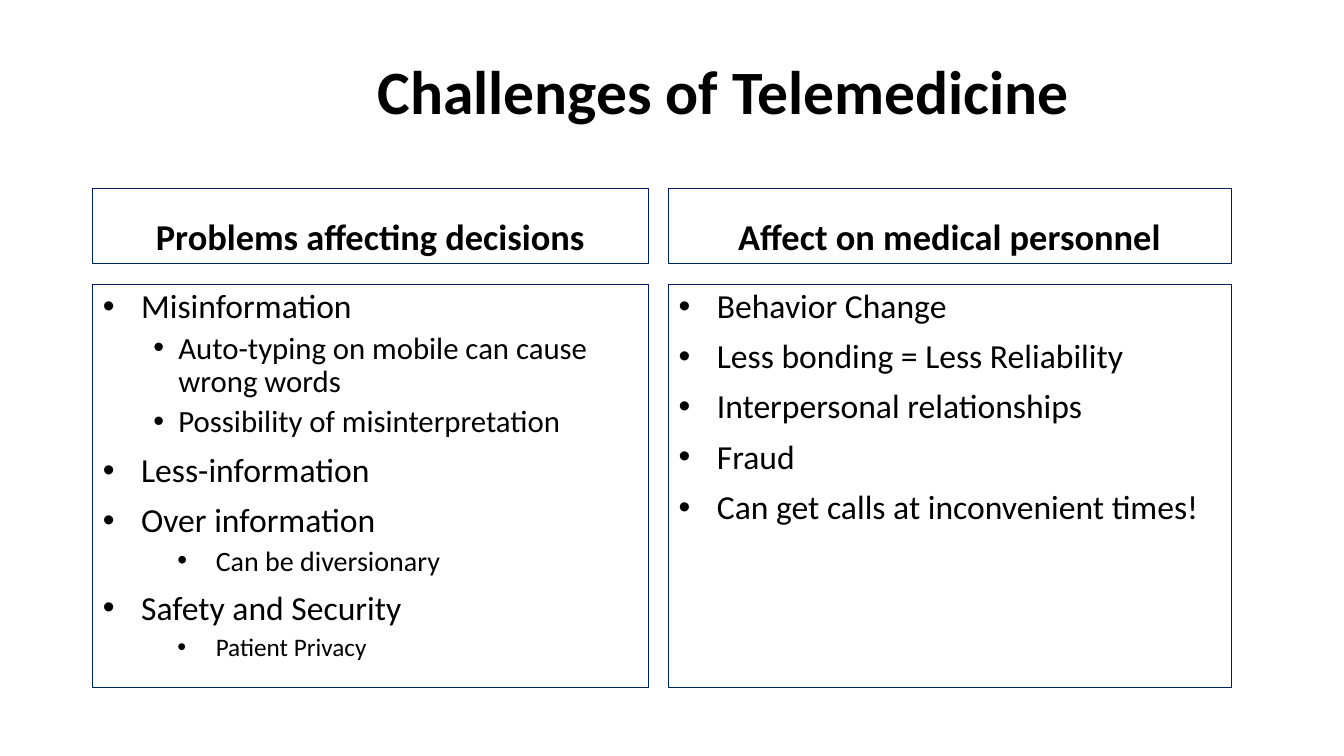
import pptx
import pptx.dml.color
import pptx.enum.text
import pptx.oxml
import pptx.oxml.ns
import pptx.util

Inches, Pt = pptx.util.Inches, pptx.util.Pt
Align, Anchor = pptx.enum.text.PP_ALIGN, pptx.enum.text.MSO_ANCHOR

TITLE = "Challenges of Telemedicine"
COLUMNS = [
    ("Problems affecting decisions", 0.92, 5.51, [
        ("Misinformation", "main"),
        ("Auto-typing on mobile can cause wrong words", "detail"),
        ("Possibility of misinterpretation", "detail"),
        ("Less-information", "main"),
        ("Over information", "main"),
        ("Can be diversionary", "note"),
        ("Safety and Security", "main"),
        ("Patient Privacy", "small note"),
    ]),
    ("Affect on medical personnel", 6.63, 5.58, [
        ("Behavior Change", "main"),
        ("Less bonding = Less Reliability", "main"),
        ("Interpersonal relationships", "main"),
        ("Fraud", "main"),
        ("Can get calls at inconvenient times!", "main"),
    ]),
]
# level, size, space before, left margin, hanging indent
STYLES = {
    "main": (0, 24, 10, 0.38, 0.38),
    "detail": (1, 22, 5, 0.75, 0.25),
    "note": (1, 20, 5, 1.12, 0.38),
    "small note": (1, 18, 5, 1.12, 0.38),
}
HEADING_ROW, LIST_ROW = (1.87, 0.74), (2.82, 4)


def color(value):
    return pptx.dml.color.RGBColor.from_string(value)


def place(box, left, top, width, height, anchor):
    box.left, box.top, box.width, box.height = map(Inches, (left, top, width, height))
    frame = box.text_frame
    frame.word_wrap = True
    frame.auto_size = pptx.enum.text.MSO_AUTO_SIZE.NONE
    frame.vertical_anchor = anchor
    return frame


def outline(box):
    box.line.color.rgb = color("002060")
    box.line.width = Pt(0.75)


def write(para, text, size, bold, align, spacing, before):
    para.text = text
    para.alignment = align
    para.line_spacing = spacing
    para.space_before = Pt(before)
    para.font.name = "Calibri"
    para.font.size = Pt(size)
    para.font.bold = bold
    para.font.color.rgb = color("000000")


def add_bullet(para, margin, hanging):
    properties = para._p.get_or_add_pPr()
    properties.set("marL", str(Inches(margin)))
    properties.set("indent", str(-Inches(hanging)))
    for tag, name, value in (("buFont", "typeface", "Arial"), ("buChar", "char", "•")):
        bullet = pptx.oxml.parse_xml(f'<a:{tag} {pptx.oxml.ns.nsdecls("a")} {name}="{value}"/>')
        properties.append(bullet)


def fill_list(frame, items):
    for index, (text, style) in enumerate(items):
        level, size, before, margin, hanging = STYLES[style]
        para = frame.add_paragraph() if index else frame.paragraphs[0]
        para.level = level
        add_bullet(para, margin, hanging)
        write(para, text, size, False, Align.LEFT, 0.9, before)


def main():
    """Build the slide comparing two groups of telemedicine challenges."""
    deck = pptx.Presentation()
    deck.slide_width, deck.slide_height = Inches(13.33), Inches(7.5)
    page = deck.slides.add_slide(deck.slide_layouts.get_by_name("Comparison"))
    title, *boxes = page.placeholders

    frame = place(title, 2.13, 0.2, 10.1, 1.47, Anchor.MIDDLE)
    write(frame.paragraphs[0], TITLE, 44, True, Align.CENTER, 0.9, 0)

    for (heading, left, width, items), heading_box, list_box in zip(COLUMNS, boxes[::2], boxes[1::2]):
        frame = place(heading_box, left, HEADING_ROW[0], width, HEADING_ROW[1], Anchor.BOTTOM)
        write(frame.paragraphs[0], heading, 26, True, Align.CENTER, 0.85, 10)
        outline(heading_box)
        frame = place(list_box, left, LIST_ROW[0], width, LIST_ROW[1], Anchor.TOP)
        fill_list(frame, items)
        outline(list_box)

    deck.save("out.pptx")


if __name__ == "__main__":
    main()
